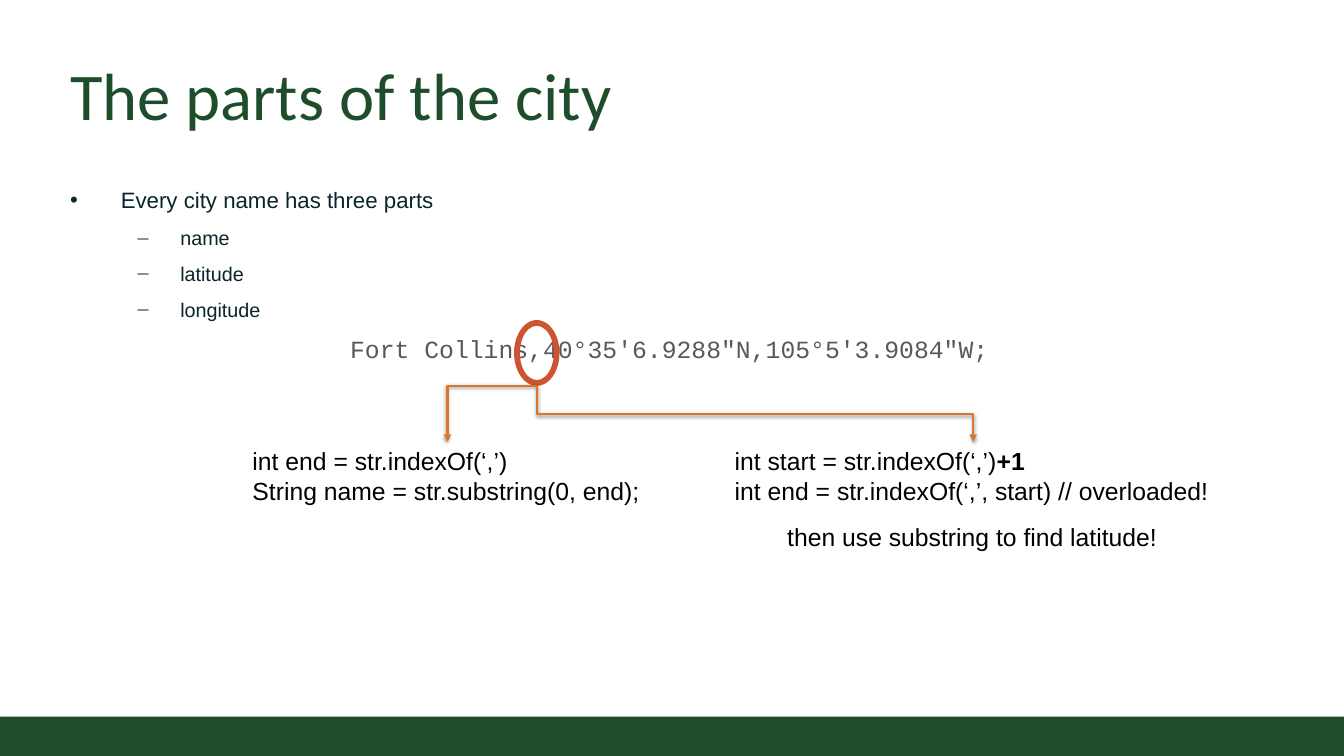
from collections import namedtuple

from lxml.etree import SubElement
from pptx import Presentation
from pptx.dml.color import RGBColor
from pptx.enum.shapes import MSO_CONNECTOR as Connector, MSO_SHAPE as Shape
from pptx.enum.text import MSO_ANCHOR as Anchor, MSO_AUTO_SIZE as AutoSize, PP_ALIGN as Align
from pptx.oxml import parse_xml
from pptx.oxml.ns import nsdecls, qn
from pptx.util import Cm, Pt

GREEN = RGBColor(0x1E, 0x4D, 0x2B)
INK = RGBColor(0x09, 0x25, 0x29)
GRAY = RGBColor(0x59, 0x59, 0x5B)
RED = RGBColor(0xCC, 0x54, 0x30)
ORANGE = RGBColor(0xD9, 0x78, 0x2C)
BLACK = RGBColor(0, 0, 0)

WIDTH, HEIGHT = 38.38, 21.59
Box = namedtuple("Box", "left top width height")
Level = namedtuple("Level", "margin indent before size bullet bullet_color")
LEVELS = [
    Level(1.45, -1.45, 6, 18, "•", INK),
    Level(3.15, -1.22, 0, 16, "–", GRAY),
]
SHADOW = (
    f'<a:effectLst {nsdecls("a")}><a:outerShdw blurRad="39370" dist="20320" dir="5400000" rotWithShape="0">'
    '<a:srgbClr val="000000"><a:alpha val="38000"/></a:srgbClr></a:outerShdw></a:effectLst>'
)


def to_cm(box):
    return [Cm(value) for value in box]


def add_text(paragraph, text, size=20, font="Arial", color=BLACK, bold=False):
    run = paragraph.add_run()
    run.text = text
    run.font.size = Pt(size)
    run.font.name = font
    run.font.color.rgb = color
    run.font.bold = bold


def place_placeholder(shape, box, anchor):
    shape.left, shape.top, shape.width, shape.height = to_cm(box)
    frame = shape.text_frame
    frame.auto_size = AutoSize.NONE
    frame.vertical_anchor = anchor
    frame.margin_left = frame.margin_right = frame.margin_top = frame.margin_bottom = Cm(0.25)
    return frame


def add_title(slide, box, text):
    frame = place_placeholder(slide.shapes.title, box, Anchor.BOTTOM)
    paragraph = frame.paragraphs[0]
    paragraph.alignment = Align.LEFT
    add_text(paragraph, text, size=54, font="Calibri", color=GREEN)


def add_list(slide, box, items):
    frame = place_placeholder(slide.placeholders[1], box, Anchor.TOP)
    for index, (depth, text) in enumerate(items):
        paragraph = frame.add_paragraph() if index else frame.paragraphs[0]
        level = LEVELS[depth]
        paragraph.level = depth
        properties = paragraph._p.get_or_add_pPr()
        properties.set("marL", str(Cm(level.margin)))
        properties.set("indent", str(Cm(level.indent)))
        bullet_color = SubElement(properties, qn("a:buClr"))
        SubElement(bullet_color, qn("a:srgbClr"), val=str(level.bullet_color))
        SubElement(properties, qn("a:buFont"), typeface="Arial")
        SubElement(properties, qn("a:buChar"), char=level.bullet)
        paragraph.line_spacing = 1.2
        paragraph.space_before = Pt(level.before)
        paragraph.space_after = Pt(6)
        add_text(paragraph, text, size=level.size, color=INK)


def add_lines(slide, box, lines, **style):
    frame = slide.shapes.add_textbox(*to_cm(box)).text_frame
    frame.word_wrap = False
    for index, line in enumerate(lines):
        paragraph = frame.add_paragraph() if index else frame.paragraphs[0]
        for text, bold in line:
            add_text(paragraph, text, bold=bold, **style)


def add_filled(slide, kind, box, color):
    shape = slide.shapes.add_shape(kind, *to_cm(box))
    shape.shadow.inherit = False
    shape.fill.solid()
    shape.fill.fore_color.rgb = color
    shape.line.fill.background()
    return shape


def add_arrow(slide, begin, end):
    connector = slide.shapes.add_connector(Connector.ELBOW, *to_cm(begin + end))
    connector.line.color.rgb = ORANGE
    connector.line.width = Pt(2)
    SubElement(connector.line._get_or_add_ln(), qn("a:tailEnd"), type="triangle")
    properties = connector._element.spPr
    properties.append(parse_xml(SHADOW))
    return properties


def add_side_arrow(slide, begin, end):
    properties = add_arrow(slide, begin, end)
    properties.find(qn("a:prstGeom")).set("prst", "bentConnector2")


def add_down_arrow(slide, begin, end):
    middle_x, middle_y = (begin[0] + end[0]) / 2, (begin[1] + end[1]) / 2
    half_width, half_height = (end[0] - begin[0]) / 2, (end[1] - begin[1]) / 2
    properties = add_arrow(
        slide,
        (middle_x + half_height, middle_y - half_width),
        (middle_x - half_height, middle_y + half_width),
    )
    properties.find(qn("a:xfrm")).set("rot", str(270 * 60000))


def add_example(slide, box):
    left, top = box.left, box.top
    code_top = top + 3.22
    add_lines(slide, Box(left + 2.79, top, 18.9, 1.12),
              [[("Fort Collins,40°35'6.9288\"N,105°5'3.9084\"W;", False)]],
              font="Courier New", color=GRAY)
    ring = add_filled(slide, Shape.DONUT, Box(left + 7.72, top - 0.26, 1.3, 1.88), RED)
    ring.adjustments[0] = 0.127
    comma = (left + 8.38, top + 1.62)
    add_side_arrow(slide, comma, (left + 5.82, code_top))
    add_lines(slide, Box(left, code_top, 11.63, 1.96), [
        [("int end = str.indexOf(‘,’)", False)],
        [("String name = str.substring(0, end);", False)],
    ])
    add_down_arrow(slide, comma, (left + 20.83, code_top))
    add_lines(slide, Box(left + 13.77, code_top, 14.12, 1.96), [
        [("int start = str.indexOf(‘,’)", False), ("+1", True)],
        [("int end = str.indexOf(‘,’, start) // overloaded!", False)],
    ])
    add_lines(slide, Box(left + 15.27, code_top + 2.16, 11.15, 1.12),
              [[("then use substring to find latitude!", False)]])


def main():
    presentation = Presentation()
    presentation.slide_width, presentation.slide_height = Cm(WIDTH), Cm(HEIGHT)
    slide = presentation.slides.add_slide(presentation.slide_layouts[1])
    add_filled(slide, Shape.RECTANGLE, Box(0, HEIGHT - 1.12, WIDTH, 1.12), GREEN)
    add_title(slide, Box(1.75, 1.24, 34.9, 2.82), "The parts of the city")
    add_list(slide, Box(1.75, 4.93, 34.9, 4.45), [
        (0, "Every city name has three parts"),
        (1, "name"),
        (1, "latitude"),
        (1, "longitude"),
    ])
    add_example(slide, Box(6.96, 9.4, 27.89, 6.5))
    presentation.save("out.pptx")


if __name__ == "__main__":
    main()
